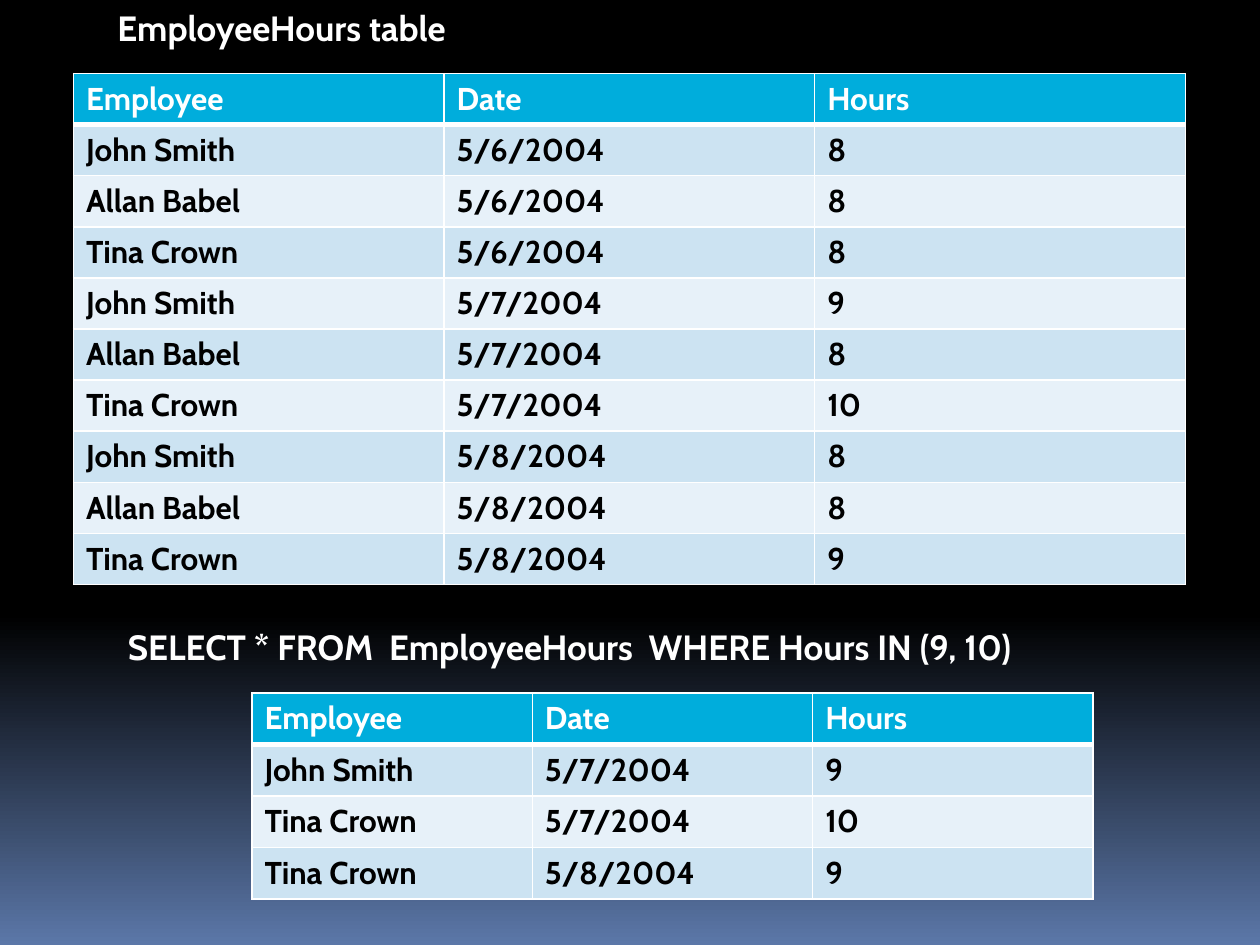
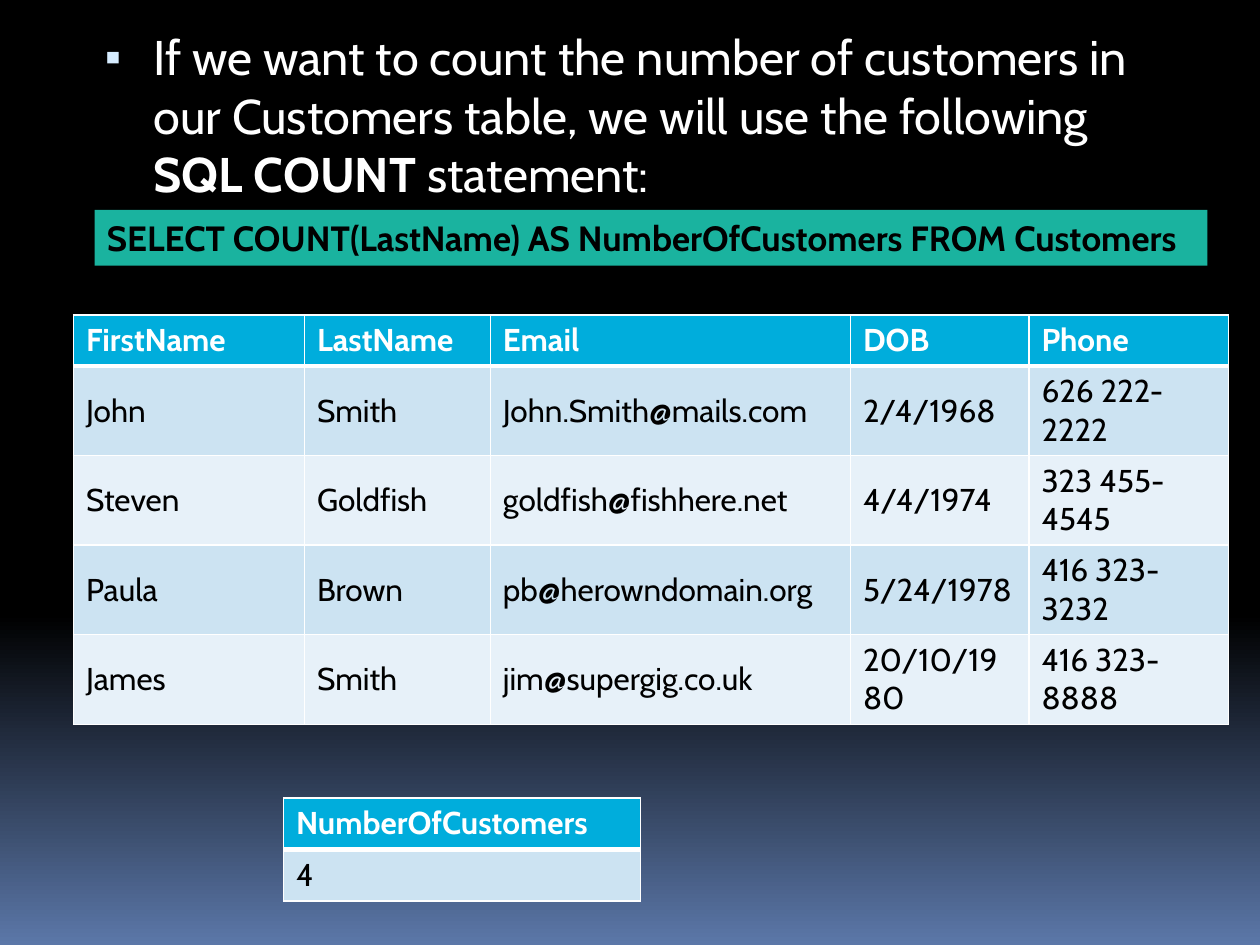
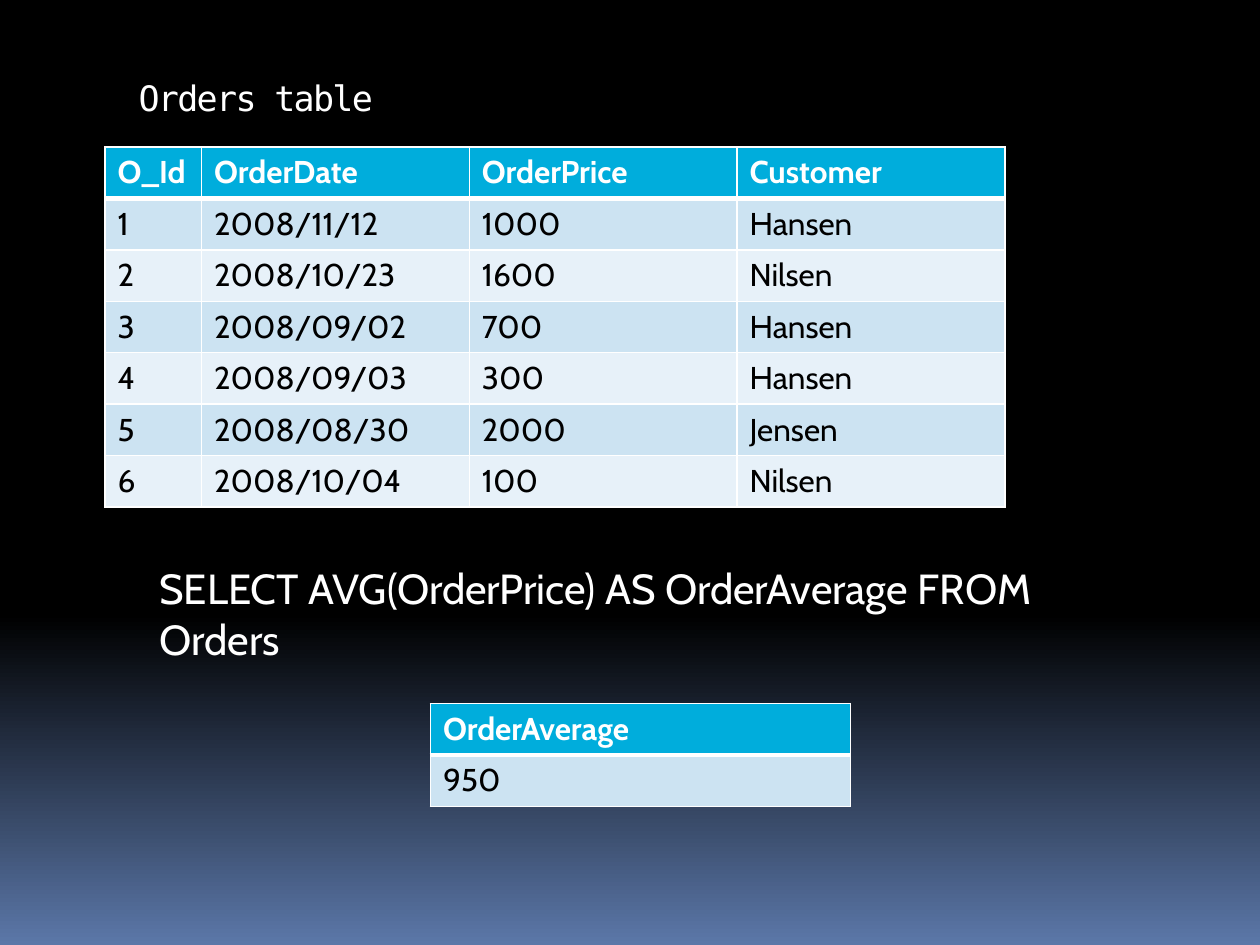
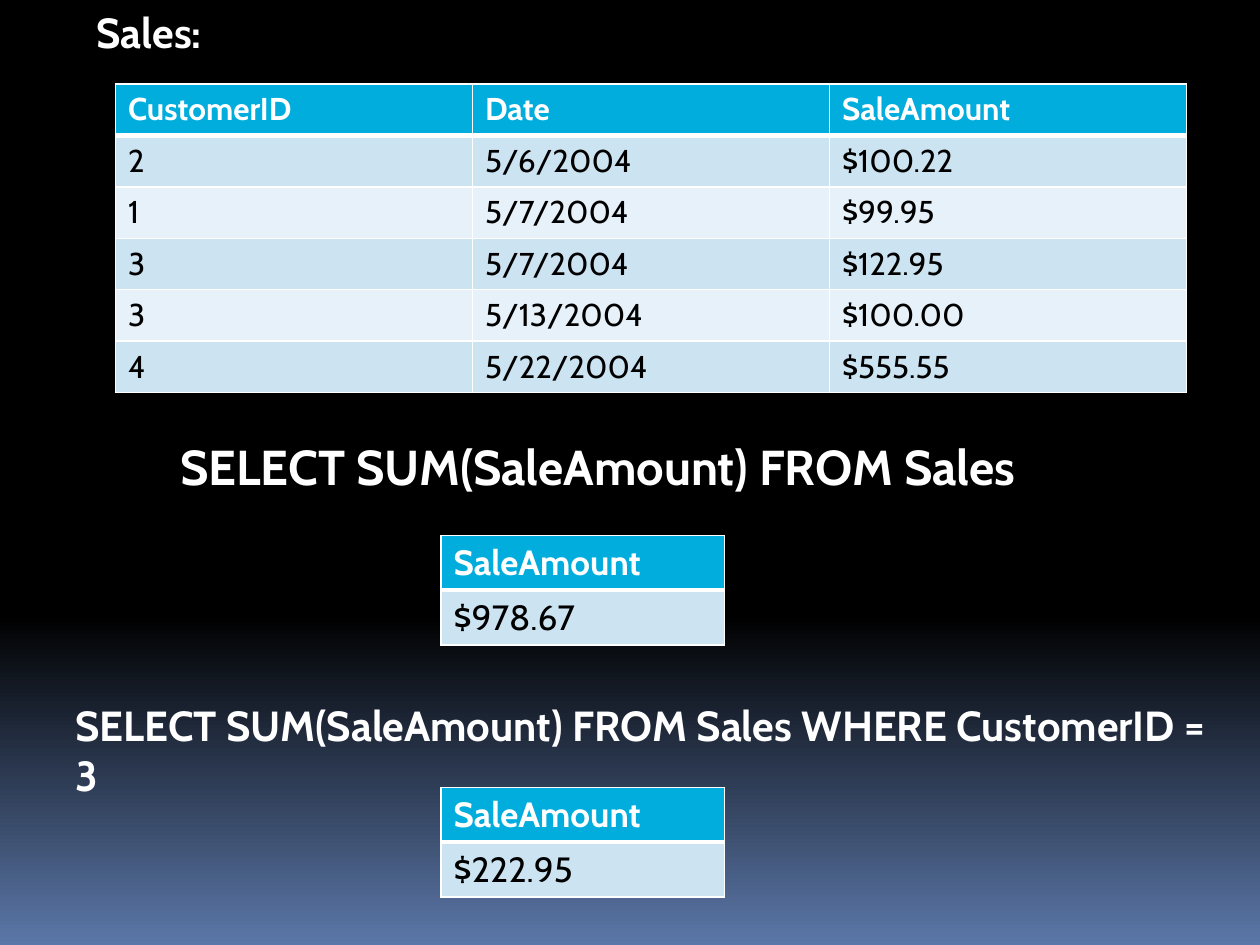
"""Build four slides on SQL queries, each with its tables and results."""
from copy import deepcopy

from pptx import Presentation
from pptx import util as u
from pptx.dml.color import RGBColor
from pptx.enum import shapes, text
from pptx.oxml import parse_xml
from pptx.oxml.ns import nsdecls, qn

PX = 7620
WHITE = RGBColor(0xFF, 0xFF, 0xFF)
BLACK = RGBColor(0x00, 0x00, 0x00)
DUSK = RGBColor(0x5B, 0x77, 0xA8)
CYAN = RGBColor(0x00, 0xAD, 0xDC)
BANDS = RGBColor(0xE7, 0xF1, 0xF9), RGBColor(0xCC, 0xE3, 0xF2)
TEAL = RGBColor(0x1A, 0xB3, 0x9F)
MARK = RGBColor(0xD6, 0xEC, 0xFF)
FONT, MONO = "Cabin", "DejaVu Sans Mono"
FIT = text.MSO_AUTO_SIZE


def write(shape, runs, size, color=WHITE, font=FONT, wrap=True, fit=FIT.SHAPE_TO_FIT_TEXT):
    frame = shape.text_frame
    frame.word_wrap = wrap
    frame.auto_size = fit
    frame.vertical_anchor = text.MSO_ANCHOR.TOP
    para = frame.paragraphs[0]
    para.alignment = text.PP_ALIGN.LEFT
    para.space_before = u.Pt(0)
    for words, bold in runs:
        run = para.add_run()
        run.text = words
        run.font.size, run.font.name, run.font.bold = u.Pt(size), font, bold
        run.font.color.rgb = color
    return para


def grid(slide, left, top, cols, highs, rows, size=18, bold=False):
    box = [n * PX for n in (left, top, sum(cols), sum(highs))]
    table = slide.shapes.add_table(len(rows), len(cols), *box).table
    for col, wide in zip(table.columns, cols):
        col.width = wide * PX
    for r, (high, row) in enumerate(zip(highs, rows)):
        table.rows[r].height = high * PX
        for c, words in enumerate(row):
            cell = table.cell(r, c)
            cell.vertical_anchor = text.MSO_ANCHOR.MIDDLE
            run = cell.text_frame.paragraphs[0].add_run()
            run.text = words
            run.font.size, run.font.name = u.Pt(size), FONT
            run.font.bold = bold or r == 0
            run.font.color.rgb = BLACK if r else WHITE
            props = cell._tc.get_or_add_tcPr()
            for side in "LRTB":
                thick = 3 if (r, side) in ((0, "B"), (1, "T")) else 1
                props.append(parse_xml(
                    f'<a:ln{side} {nsdecls("a")} w="{u.Pt(thick)}"><a:solidFill>'
                    f'<a:srgbClr val="{WHITE}"/></a:solidFill></a:ln{side}>'))
            cell.fill.solid()
            cell.fill.fore_color.rgb = BANDS[r % 2] if r else CYAN


deck = Presentation()
deck.slide_width, deck.slide_height = 1200 * PX, 900 * PX
master = deck.slide_master
back = master.background.fill
back.gradient()
back.gradient_angle = 270
stops = master.element.find(".//" + qn("a:gsLst"))
stops.insert(1, deepcopy(stops[0]))
for stop, spot, color in zip(back.gradient_stops, (0, 0.65, 1), (BLACK, BLACK, DUSK)):
    stop.position = spot
    stop.color.rgb = color

blank, body, title = (deck.slide_layouts[n] for n in (6, 1, 5))
hours, count, mean, sales = (deck.slides.add_slide(x) for x in (blank, body, title, blank))

names = "John Smith", "Allan Babel", "Tina Crown"
days = "5/6/2004", "5/7/2004", "5/8/2004"
worked = ("8", "8", "8"), ("9", "8", "10"), ("8", "8", "9")
head = ("Employee", "Date", "Hours")
log = [(name, day, num) for day, nums in zip(days, worked) for name, num in zip(names, nums)]
picks = [row for row in log if row[2] in ("9", "10")]

count.shapes.title.element.getparent().remove(count.shapes.title.element)
lead = count.placeholders[1]
lead.left, lead.top, lead.width, lead.height = [n * PX for n in (80, 20, 1020, 156)]
para = write(lead, [
    ("If we want to count the number of customers in our Customers table, "
     "we will use the following ", False),
    ("SQL COUNT", True), (" statement:", False)], 27.8, fit=FIT.NONE)
props = para._p.get_or_add_pPr()
props.set("marL", str(54 * PX))
props.set("indent", str(-46 * PX))
for tag in (f'buClr {nsdecls("a")}><a:srgbClr val="{MARK}"/></a:buClr',
            f'buSzPct {nsdecls("a")} val="95000"/',
            f'buChar {nsdecls("a")} char="▪"/'):
    props.append(parse_xml(f"<a:{tag}>"))

name = mean.shapes.title
name.left, name.top, name.width, name.height = [n * PX for n in (120, 67, 1020, 120)]
para = write(name, [("Orders table", False)], 20, font=MONO, fit=FIT.NONE)
para.runs[0].font._element.set("spc", "-100")

grid(hours, 70, 70, [353] * 3, [48] * 10, [head] + log, bold=True)
grid(hours, 240, 660, [267] * 3, [49] * 4, [head] + picks, bold=True)

grid(count, 70, 300, [220, 177, 343, 170, 190], [46] + [78] * 4, [
    ("FirstName", "LastName", "Email", "DOB", "Phone"),
    ("John", "Smith", "John.Smith@mails.com", "2/4/1968", "626 222-2222"),
    ("Steven", "Goldfish", "goldfish@fishhere.net", "4/4/1974", "323 455-4545"),
    ("Paula", "Brown", "pb@herowndomain.org", "5/24/1978", "416 323-3232"),
    ("James", "Smith", "jim@supergig.co.uk", "20/10/1980", "416 323-8888")])
bar = count.shapes.add_shape(
    shapes.MSO_SHAPE.RECTANGLE, *[n * PX for n in (90, 200, 1060, 53)])
bar.shadow.inherit = False
bar.fill.solid()
bar.fill.fore_color.rgb = TEAL
bar.line.fill.background()
write(bar, [("SELECT COUNT(LastName) AS NumberOfCustomers FROM Customers", True)], 20, BLACK)
grid(count, 270, 760, [340], [49] * 2, [("NumberOfCustomers",), ("4",)])

grid(mean, 100, 140, [92] + [255] * 3, [49] * 7, [
    ("O_Id", "OrderDate", "OrderPrice", "Customer"),
    ("1", "2008/11/12", "1000", "Hansen"),
    ("2", "2008/10/23", "1600", "Nilsen"),
    ("3", "2008/09/02", "700", "Hansen"),
    ("4", "2008/09/03", "300", "Hansen"),
    ("5", "2008/08/30", "2000", "Jensen"),
    ("6", "2008/10/04", "100", "Nilsen")])
grid(mean, 410, 670, [400], [49] * 2, [("OrderAverage",), ("950",)])

grid(sales, 110, 80, [340] * 3, [49] * 6, [
    ("CustomerID", "Date", "SaleAmount"),
    ("2", "5/6/2004", "$100.22"),
    ("1", "5/7/2004", "$99.95"),
    ("3", "5/7/2004", "$122.95"),
    ("3", "5/13/2004", "$100.00"),
    ("4", "5/22/2004", "$555.55")])
for top, total in ((510, "$978.67"), (750, "$222.95")):
    grid(sales, 420, top, [270], [52] * 2, [("SaleAmount",), (total,)], size=20)

for slide, box, words, size, bold, wrap in (
        (hours, (100, 0, 337, 53), "EmployeeHours table", 20, True, False),
        (hours, (110, 590, 920, 53),
         "SELECT * FROM  EmployeeHours  WHERE Hours IN (9, 10)", 20, True, True),
        (mean, (140, 530, 970, 60),
         "SELECT AVG(OrderPrice) AS OrderAverage FROM Orders", 24, False, True),
        (sales, (160, 410, 850, 68), "SELECT SUM(SaleAmount) FROM Sales", 28, True, True),
        (sales, (80, 0, 128, 60), "Sales:", 24, True, False),
        (sales, (60, 660, 1120, 60),
         "SELECT SUM(SaleAmount) FROM Sales WHERE CustomerID = 3", 24, True, True)):
    label = slide.shapes.add_textbox(*[n * PX for n in box])
    write(label, [(words, bold)], size, wrap=wrap)

deck.save("out.pptx")
